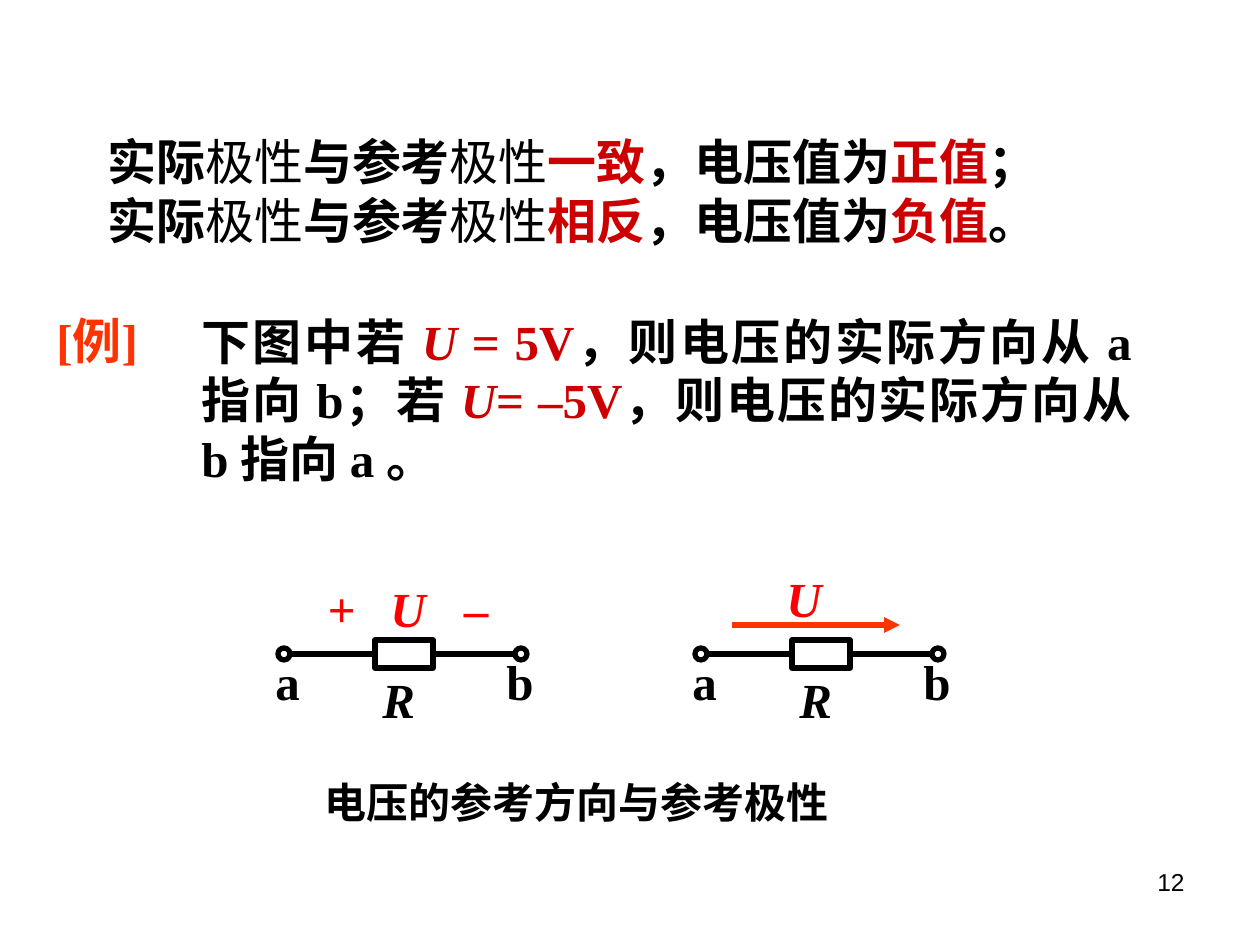
"""Builds the slide on reference direction and polarity of voltage."""
from dataclasses import dataclass
from lxml import etree
from pptx import Presentation, util as u
from pptx.dml.color import RGBColor
from pptx.enum import shapes, text
from pptx.oxml import ns

PX = u.Inches(1) / 126


@dataclass(frozen=True)
class Theme:
    """Colours, fonts and sizes of the slide."""
    ink: str = "000000"
    key: str = "CC0000"
    sign: str = "FF0000"
    mark: str = "FF3300"
    serif: str = "Times New Roman"
    sans: str = "Arial"
    main: int = 28
    note: int = 24
    page: int = 14
    line: int = 3


T = Theme()


def emu(*nums):
    """Turn px into EMU."""
    return [u.Emu(round(n * PX)) for n in nums]


def put(host, box, paras, size=T.main, font=T.serif, color=T.ink, bold=True,
        slant=False, wrap=True, align=text.PP_ALIGN.LEFT):
    """Add a text box of paragraphs, each a string or a list of (words, format) runs."""
    frame = host.add_textbox(*emu(*box)).text_frame
    frame.word_wrap = wrap
    for i, runs in enumerate(paras):
        para = frame.paragraphs[0] if i == 0 else frame.add_paragraph()
        para.alignment = align
        for words, form in [(runs, {})] if isinstance(runs, str) else runs:
            run = para.add_run()
            run.text = words
            run.font.name = font
            run.font.size = u.Pt(size)
            run.font.bold = form.get("bold", bold)
            run.font.italic = form.get("slant", slant)
            run.font.color.rgb = RGBColor.from_string(form.get("color", color))


def shape(host, kind, box):
    """Add an outlined shape without fill."""
    item = host.add_shape(kind, *emu(*box))
    item.shadow.inherit = False
    item.fill.background()
    item.line.color.rgb = RGBColor.from_string(T.ink)
    item.line.width = u.Pt(T.line)
    return item


def line(host, ends, color=T.ink, head=False):
    """Add a straight line, with an arrowhead if asked."""
    item = host.add_connector(shapes.MSO_CONNECTOR.STRAIGHT, *emu(*ends))
    item.line.color.rgb = RGBColor.from_string(color)
    item.line.width = u.Pt(T.line)
    if head:
        etree.SubElement(item.line._get_or_add_ln(), ns.qn("a:tailEnd"), type="triangle")
    etree.SubElement(item._element.spPr, ns.qn("a:effectLst"))
    return item


def circuit(host, x):
    """Draw a resistor between terminals a and b and return its group's shapes."""
    group = host.add_group_shape().shapes
    mid = 654
    part = shape(group, shapes.MSO_SHAPE.RECTANGLE, (x + 97, mid - 14, 58, 28))
    line(group, (x + 12, mid, x + 97, mid)).end_connect(part, 1)
    line(group, (x + 155, mid, x + 237, mid)).begin_connect(part, 3)
    for left in (x, x + 237):
        shape(group, shapes.MSO_SHAPE.OVAL, (left, mid - 6, 12, 12))
    put(group, (x - 15, 645, 50, 72), ["a"], wrap=False)
    put(group, (x + 216, 645, 53, 72), ["b"], wrap=False)
    put(group, (x + 92, 663, 58, 72), ["R"], slant=True, wrap=False)
    return group


def rule(match, value, stop):
    """Return the runs of one polarity rule."""
    thin, red = {"bold": False}, {"color": T.key}
    return [("实际", {}), ("极性", thin), ("与参考", {}), ("极性", thin),
            (match, red), ("，电压值为", {}), (value, red), (stop, {})]


def main():
    """Build and save the slide."""
    deck = Presentation()
    deck.slide_width, deck.slide_height = emu(1260, 945)
    host = deck.slides.add_slide(deck.slide_layouts[6]).shapes

    put(host, (95, 125, 1111, 130),
        [rule("一致", "正值", "；"), rule("相反", "负值", "。")])
    put(host, (44, 304, 149, 72), ["[例]"], color=T.mark)
    red = {"color": T.key}
    var = {"color": T.key, "slant": True}
    put(host, (189, 305, 955, 189),
        [[("下图中若 ", {}), ("U", var), (" = 5V", red),
          ("，则电压的实际方向从 a 指向 b；若 ", {}), ("U", var), ("= –5V", red),
          ("，则电压的实际方向从 b 指向 a 。", {})]],
        align=text.PP_ALIGN.JUSTIFY)

    signs = circuit(host, 278)
    for word, left, wide in (("+", 315, 55), ("U", 378, 63), ("–", 452, 50)):
        put(signs, (left, 572, wide, 72), [word], color=T.sign, slant=True,
            wrap=word == "U")
    arrow = circuit(host, 695)
    put(arrow, (774, 562, 63, 72), ["U"], color=T.sign, slant=True)
    line(arrow, (732, 625, 900, 625), color=T.mark, head=True)

    put(host, (312, 770, 588, 63), ["电压的参考方向与参考极性"], size=T.note)
    put(host, (903, 861, 294, 66), ["12"], size=T.page, font=T.sans,
        bold=False, align=text.PP_ALIGN.RIGHT)
    deck.save("out.pptx")


if __name__ == "__main__":
    main()
